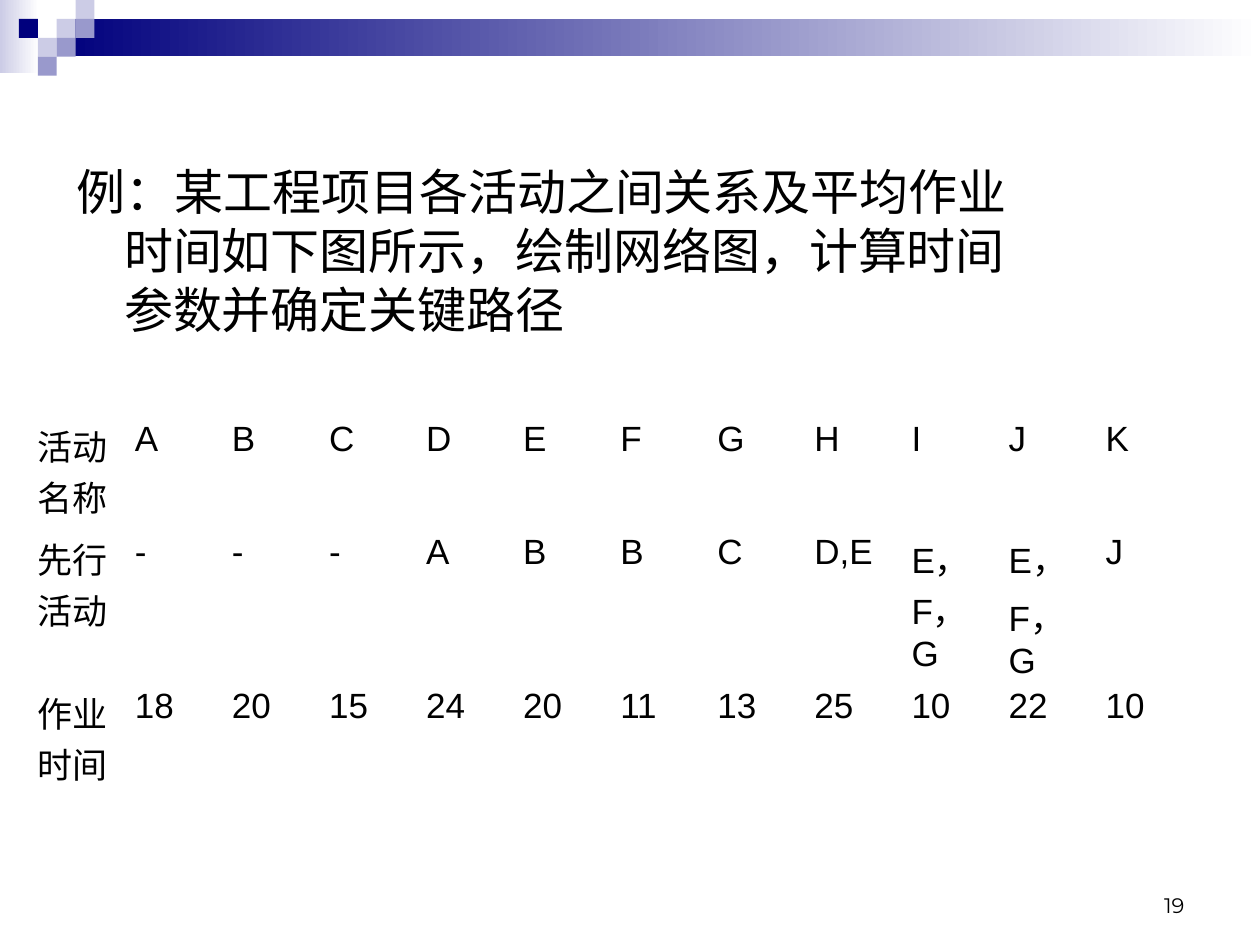
from dataclasses import dataclass
from typing import NamedTuple

from lxml.etree import SubElement
from pptx import Presentation
from pptx.dml.color import RGBColor
from pptx.enum.shapes import MSO_SHAPE
from pptx.enum.text import MSO_ANCHOR, MSO_AUTO_SIZE, PP_ALIGN
from pptx.oxml.ns import qn
from pptx.util import Pt


@dataclass(frozen=True)
class Theme:
    """Colours, fonts and type sizes of the slide."""
    navy: str = "00007D"
    violet: str = "9999CC"
    lavender: str = "CCCCE6"
    white: str = "FFFFFF"
    black: str = "000000"
    font: str = "Arial"
    number_font: str = "Montserrat"
    body_size: float = 28
    table_size: float = 20
    number_size: float = 12


class Box(NamedTuple):
    """A rectangle in points."""
    left: float
    top: float
    width: float
    height: float


class Band(NamedTuple):
    """A rectangle fading from a colour to white."""
    box: Box
    color: str


class Tile(NamedTuple):
    """A square on the corner mosaic grid."""
    column: int
    row: int
    color: str


THEME = Theme()
TILE_SIZE = 10.8
BANDS = [
    Band(Box(0, 0, 22.3, 41.8), THEME.lavender),
    Band(Box(32.4, 10.8, 687.6, 21.4), THEME.navy),
]
TILES = [
    Tile(3, 1, THEME.lavender),
    Tile(4, 0, THEME.lavender),
    Tile(4, 1, THEME.violet),
    Tile(2, 2, THEME.lavender),
    Tile(1, 1, THEME.navy),
    Tile(3, 2, THEME.violet),
    Tile(2, 3, THEME.violet),
]
BODY_BOX = Box(36.7, 88.6, 561.6, 118.8)
NUMBER_BOX = Box(516.2, 491.8, 167.8, 36)
ROW_HEIGHTS = [64.8, 88, 59.1]
TABLE_BOX = Box(14.4, 236.2, 666, sum(ROW_HEIGHTS))
QUESTION = "例：某工程项目各活动之间关系及平均作业时间如下图所示，绘制网络图，计算时间参数并确定关键路径"
ACTIVITIES = [
    ["活动名称", *"ABCDEFGHIJK"],
    ["先行活动", "-", "-", "-", "A", "B", "B", "C", "D,E", "E，F，G", "E，\nF，G", "J"],
    ["作业时间", "18", "20", "15", "24", "20", "11", "13", "25", "10", "22", "10"],
]


def place(box: Box) -> list[int]:
    """Convert a box to slide lengths."""
    return [Pt(length) for length in box]


def add_run(paragraph, text: str, size: float, font: str = THEME.font) -> None:
    """Append one black run to a paragraph."""
    run = paragraph.add_run()
    run.text = text
    run.font.name = font
    run.font.size = Pt(size)
    run.font.color.rgb = RGBColor.from_string(THEME.black)


def add_rectangle(slide, box: Box):
    """Add a rectangle without line or shadow."""
    shape = slide.shapes.add_shape(MSO_SHAPE.RECTANGLE, *place(box))
    shape.shadow.inherit = False
    shape.line.fill.background()
    return shape


def draw_band(slide, band: Band) -> None:
    """Draw a band with a left-to-right gradient."""
    fill = add_rectangle(slide, band.box).fill
    fill.gradient()
    fill.gradient_angle = 0
    for stop, color in zip(fill.gradient_stops, (band.color, THEME.white)):
        stop.color.rgb = RGBColor.from_string(color)


def draw_tile(slide, tile: Tile) -> None:
    """Draw one square of the mosaic."""
    box = Box(tile.column * TILE_SIZE, tile.row * TILE_SIZE, TILE_SIZE, TILE_SIZE)
    fill = add_rectangle(slide, box).fill
    fill.solid()
    fill.fore_color.rgb = RGBColor.from_string(tile.color)


def write_question(slide) -> None:
    """Fill the body placeholder with a hanging paragraph."""
    title = slide.shapes.title
    title.element.getparent().remove(title.element)
    body = slide.placeholders[1]
    body.left, body.top, body.width, body.height = place(BODY_BOX)
    frame = body.text_frame
    frame.word_wrap = True
    frame.auto_size = MSO_AUTO_SIZE.NONE
    paragraph = frame.paragraphs[0]
    paragraph.space_before = Pt(0)
    properties = paragraph._p.get_or_add_pPr()
    properties.set("marL", str(Pt(27)))
    properties.set("indent", str(Pt(-27)))
    SubElement(properties, qn("a:buNone"))
    add_run(paragraph, QUESTION, THEME.body_size)


def write_number(slide, number: str) -> None:
    """Write the page number at the lower right."""
    frame = slide.shapes.add_textbox(*place(NUMBER_BOX)).text_frame
    frame.word_wrap = True
    frame.vertical_anchor = MSO_ANCHOR.BOTTOM
    paragraph = frame.paragraphs[0]
    paragraph.alignment = PP_ALIGN.RIGHT
    add_run(paragraph, number, THEME.number_size, THEME.number_font)


def write_cell(cell, text: str) -> None:
    """Write and format one table cell."""
    cell.margin_left = cell.margin_right = Pt(7.2)
    cell.margin_top, cell.margin_bottom = Pt(3.6), Pt(0)
    properties = cell._tc.get_or_add_tcPr()
    for side in ("lnL", "lnR", "lnT", "lnB"):
        border = SubElement(properties, qn(f"a:{side}"), w=str(Pt(1)))
        SubElement(SubElement(border, qn("a:solidFill")), qn("a:srgbClr"), val=THEME.white)
    cell.fill.background()
    frame = cell.text_frame
    for index, line in enumerate(text.split("\n")):
        paragraph = frame.add_paragraph() if index else frame.paragraphs[0]
        paragraph.space_before = Pt(4 if index else 0)
        add_run(paragraph, line, THEME.table_size)


def draw_table(slide, rows: list[list[str]]) -> None:
    """Draw the activity table with equal columns."""
    column_count = len(rows[0])
    table = slide.shapes.add_table(len(rows), column_count, *place(TABLE_BOX)).table
    table.first_row = table.horz_banding = False
    for column in table.columns:
        column.width = Pt(TABLE_BOX.width / column_count)
    for row, height, texts in zip(table.rows, ROW_HEIGHTS, rows):
        row.height = Pt(height)
        for cell, text in zip(row.cells, texts):
            write_cell(cell, text)


def main() -> None:
    """Build and save the slide."""
    presentation = Presentation()
    presentation.slide_width, presentation.slide_height = Pt(720), Pt(540)
    slide = presentation.slides.add_slide(presentation.slide_layouts[1])
    for band in BANDS:
        draw_band(slide, band)
    for tile in TILES:
        draw_tile(slide, tile)
    write_number(slide, "19")
    write_question(slide)
    draw_table(slide, ACTIVITIES)
    presentation.save("out.pptx")


if __name__ == "__main__":
    main()
